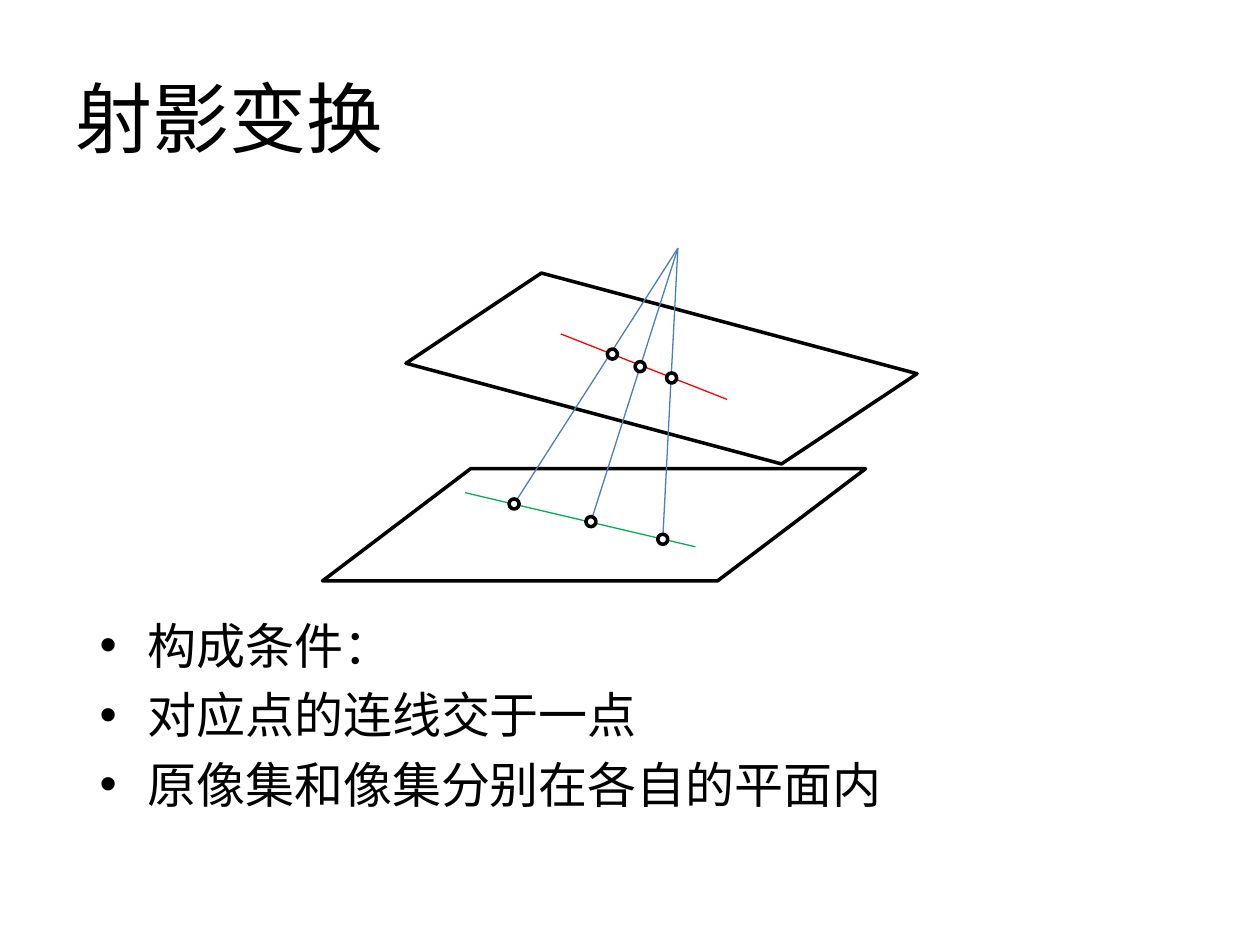
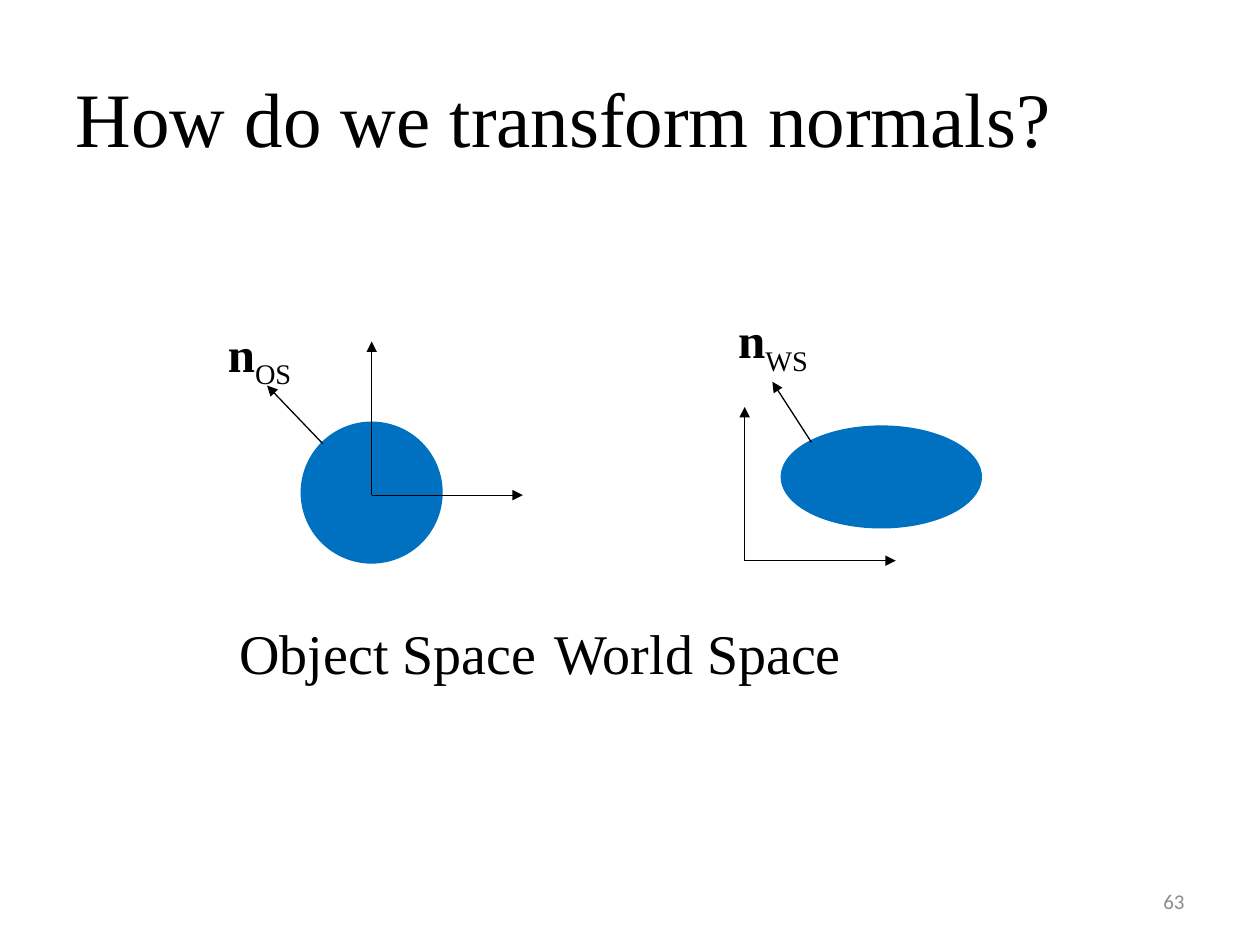
from dataclasses import dataclass

from lxml import etree
from pptx import Presentation
from pptx.dml.color import RGBColor
from pptx.enum.shapes import MSO_CONNECTOR, MSO_SHAPE
from pptx.enum.text import MSO_ANCHOR, MSO_AUTO_SIZE, PP_ALIGN
from pptx.oxml.ns import qn
from pptx.util import Inches, Pt

STRAIGHT = MSO_CONNECTOR.STRAIGHT
ELLIPSE, PARALLELOGRAM = MSO_SHAPE.OVAL, MSO_SHAPE.PARALLELOGRAM
LEFT, RIGHT = PP_ALIGN.LEFT, PP_ALIGN.RIGHT
TOP, MIDDLE = MSO_ANCHOR.TOP, MSO_ANCHOR.MIDDLE
NO_FIT = MSO_AUTO_SIZE.NONE

SLIDE_WIDTH, SLIDE_HEIGHT = Inches(10), Inches(7.5)
COLUMNS, ROWS = 100, 75


@dataclass(frozen=True)
class Theme:
    ink: str = "000000"
    paper: str = "FFFFFF"
    ray: str = "4B7EBC"
    source_line: str = "00B050"
    image_line: str = "FF0000"
    solid: str = "0070C0"
    muted: str = "8C8C8C"
    chinese: str = "Noto Sans CJK SC"
    serif: str = "Times New Roman"
    sans: str = "Calibri"
    title_size: float = 44
    caption_size: float = 32
    body_size: float = 28
    number_size: float = 12
    line_height: float = 34
    gap: float = 5.6
    thin: float = 0.75
    thick: float = 2


THEME = Theme()


@dataclass(frozen=True)
class Box:
    left: float
    top: float
    width: float
    height: float

    def inner(self, left, top, width, height):
        return Box(self.left + left, self.top + top, width, height)

    def point(self, spot):
        return self.left + spot[0], self.top + spot[1]

    def lengths(self):
        return (across(self.left), down(self.top),
                across(self.width), down(self.height))


TITLE_BOX = Box(5, 3, 90, 12.5)
CONDITIONS_BOX = Box(6.9, 48.3, 86.2, 19.5)
CAPTION_BOX = Box(18, 48.6, 77, 18.7)
NUMBER_BOX = Box(71.7, 69.5, 23.3, 4)
PROJECTION_BOX = Box(25.6, 19.7, 46.6, 26.4)
OBJECT_BOX = Box(17.1, 25.2, 24.4, 19.4)
WORLD_BOX = Box(57.6, 24.1, 20.2, 20.5)


def across(columns):
    return round(SLIDE_WIDTH * columns / COLUMNS)


def down(rows):
    return round(SLIDE_HEIGHT * rows / ROWS)


def color(value):
    return RGBColor.from_string(value)


def add_span(para, text, font, size, ink=THEME.ink, bold=False, baseline=0):
    span = para.add_run()
    span.text = text
    span.font.name = font
    span.font.size = Pt(size)
    span.font.bold = bold
    span.font.color.rgb = color(ink)
    properties = span._r.get_or_add_rPr()
    etree.SubElement(properties, qn("a:ea")).set("typeface", font)
    if baseline:
        properties.set("baseline", str(baseline))


def place_text(holder, box, anchor=TOP, wrap=True):
    holder.left, holder.top, holder.width, holder.height = box.lengths()
    frame = holder.text_frame
    frame.auto_size = NO_FIT
    frame.word_wrap = wrap
    frame.vertical_anchor = anchor
    return frame


def set_bullet(para, hang=0, tab=None):
    properties = para._p.get_or_add_pPr()
    properties.set("marL", str(across(hang)))
    properties.set("indent", str(-across(hang)))
    if hang:
        etree.SubElement(properties, qn("a:buFont")).set("typeface", "Arial")
        etree.SubElement(properties, qn("a:buChar")).set("char", "•")
    else:
        etree.SubElement(properties, qn("a:buNone"))
    if tab:
        stops = etree.SubElement(properties, qn("a:tabLst"))
        stop = etree.SubElement(stops, qn("a:tab"))
        stop.set("pos", str(across(tab)))
        stop.set("algn", "l")


def add_line(page, start, end, ink, arrow=False):
    line = page.shapes.add_connector(
        STRAIGHT, across(start[0]), down(start[1]), across(end[0]), down(end[1]))
    line.line.color.rgb = color(ink)
    line.line.width = Pt(THEME.thin)
    if arrow:
        outline = line.line._get_or_add_ln()
        etree.SubElement(outline, qn("a:tailEnd")).set("type", "triangle")
    etree.SubElement(line._element.spPr, qn("a:effectLst"))


def add_outline(page, kind, box, ink=THEME.ink, fill=None):
    shape = page.shapes.add_shape(kind, *box.lengths())
    shape.shadow.inherit = False
    if fill:
        shape.fill.solid()
        shape.fill.fore_color.rgb = color(fill)
    else:
        shape.fill.background()
    shape.line.color.rgb = color(ink)
    shape.line.width = Pt(THEME.thick)
    return shape


def add_page(deck, title, font):
    page = deck.slides.add_slide(deck.slide_layouts[1])
    para = place_text(page.shapes.title, TITLE_BOX, MIDDLE).paragraphs[0]
    para.alignment = LEFT
    add_span(para, title, font, THEME.title_size)
    return page


def add_conditions(page, box, conditions):
    frame = place_text(page.placeholders[1], box)
    for index, condition in enumerate(conditions):
        para = frame.add_paragraph() if index else frame.paragraphs[0]
        set_bullet(para, hang=3.8)
        para.line_spacing = Pt(THEME.line_height)
        para.space_before = Pt(THEME.gap if index else 0)
        add_span(para, condition, THEME.chinese, THEME.body_size)


def add_plane(page, box, slant, turn=0):
    plane = add_outline(page, PARALLELOGRAM, box)
    plane.adjustments[0] = slant
    plane.rotation = turn


def add_projection(page, box):
    apex = box.point((28.2, 0))
    source_points = [(15.2, 20.3), (21.3, 21.7), (27, 23.1)]
    image_points = [(23, 8.4), (25.2, 9.4), (27.7, 10.3)]
    dot = 0.8

    add_plane(page, box.inner(0, 17.5, 43.1, 8.9), 1.32)
    add_plane(page, box.inner(7.2, 4.7, 39.4, 9.7), 0.88, turn=15)
    add_line(page, box.point((11.3, 19.4)), box.point((29.6, 23.7)),
             THEME.source_line)
    for spot in source_points:
        add_line(page, apex, box.point(spot), THEME.ray)
    add_line(page, box.point((18.9, 6.8)), box.point((32.1, 12)),
             THEME.image_line)
    for x, y in image_points + source_points:
        add_outline(page, ELLIPSE, box.inner(x - dot / 2, y - dot / 2, dot, dot),
                    fill=THEME.paper)


def add_space(page, box, subscript, solid, origin, normal):
    add_outline(page, ELLIPSE, box.inner(*solid), THEME.solid, THEME.solid)
    x, y = origin
    arrows = [normal, (origin, (x + 12, y)), (origin, (x, y - 12.2))]
    for start, end in arrows:
        add_line(page, box.point(start), box.point(end), THEME.ink, arrow=True)
    label_box = box.inner(0, 0, 8, 5.7)
    label = page.shapes.add_textbox(*label_box.lengths())
    para = place_text(label, label_box, wrap=False).paragraphs[0]
    add_span(para, "n", THEME.serif, THEME.body_size, bold=True)
    add_span(para, subscript, THEME.serif, THEME.body_size, baseline=-25000)


def add_captions(page, box, captions):
    para = place_text(page.placeholders[1], box).paragraphs[0]
    set_bullet(para, tab=39)
    para.alignment = LEFT
    para.space_before = Pt(0)
    add_span(para, "\t".join(captions), THEME.serif, THEME.caption_size)


def add_number(page, box, number):
    holder = page.shapes.add_textbox(*box.lengths())
    para = place_text(holder, box, MIDDLE).paragraphs[0]
    para.alignment = RIGHT
    add_span(para, number, THEME.sans, THEME.number_size, THEME.muted)


def build_projective_page(deck):
    page = add_page(deck, "射影变换", THEME.chinese)
    add_conditions(page, CONDITIONS_BOX, [
        "构成条件：",
        "对应点的连线交于一点",
        "原像集和像集分别在各自的平面内",
    ])
    add_projection(page, PROJECTION_BOX)


def build_normals_page(deck):
    page = add_page(deck, "How do we transform normals?", THEME.serif)
    add_captions(page, CAPTION_BOX, ["Object Space", "World Space"])
    add_number(page, NUMBER_BOX, "63")
    add_space(page, OBJECT_BOX, "OS", solid=(6.9, 8.4, 11, 11),
              origin=(12.4, 14.1), normal=((8.5, 10), (4.1, 5.4)))
    add_space(page, WORLD_BOX, "WS", solid=(4.5, 9.8, 15.7, 7.9),
              origin=(1.5, 20.4), normal=((6.8, 11), (3.7, 6.2)))


def main():
    deck = Presentation()
    deck.slide_width, deck.slide_height = SLIDE_WIDTH, SLIDE_HEIGHT
    build_projective_page(deck)
    build_normals_page(deck)
    deck.save("out.pptx")


if __name__ == "__main__":
    main()
